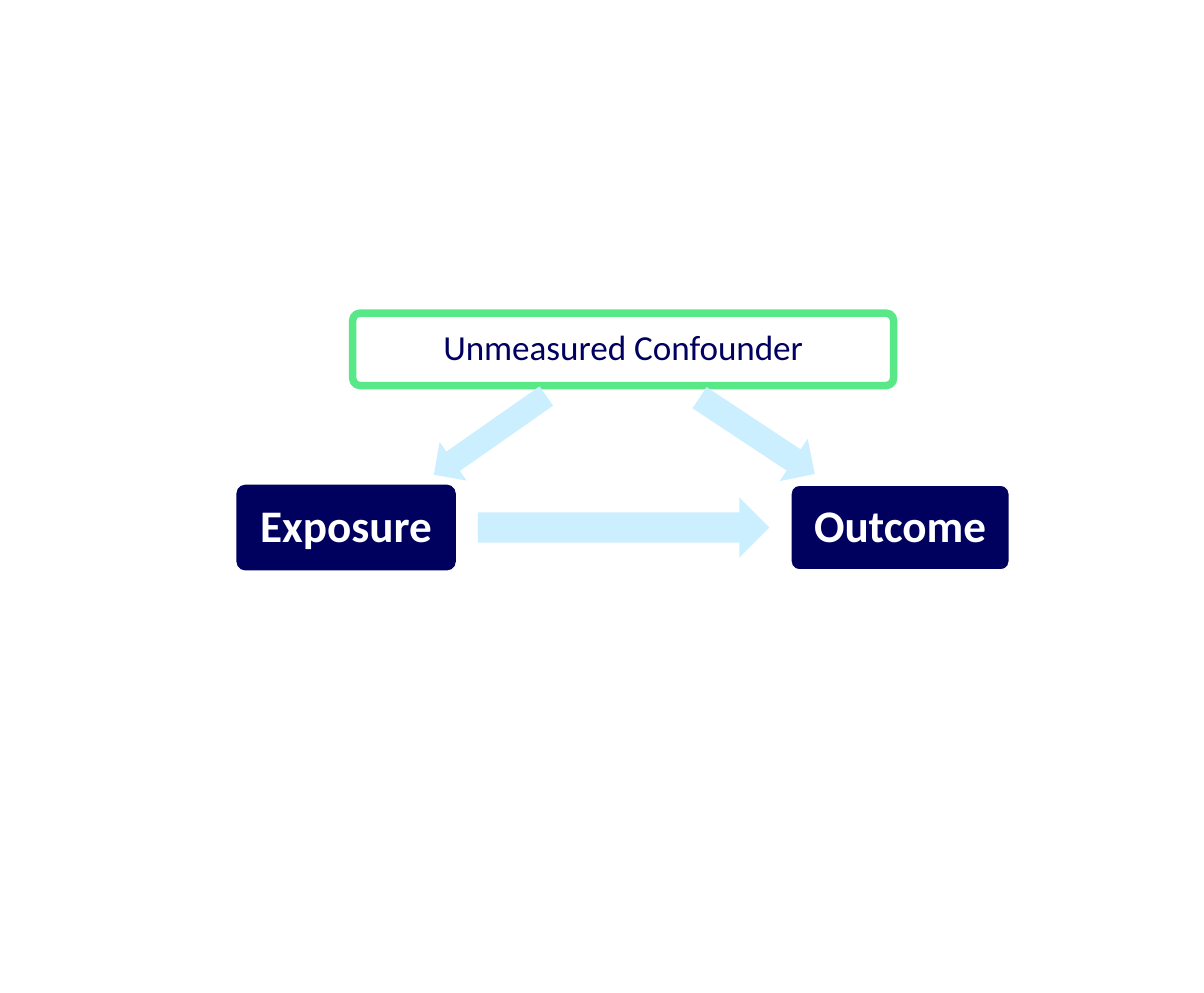
"""Build a slide showing an unmeasured confounder of exposure and outcome."""
from pptx import Presentation
from pptx.dml.color import RGBColor
from pptx.enum.shapes import MSO_SHAPE
from pptx.enum.text import MSO_ANCHOR, PP_ALIGN
from pptx.util import Pt

PX = 9525
NAVY, WHITE, GREEN, SKY = "00005F", "FFFFFF", "58E887", "CCEFFF"


def paint(target, color):
    target.solid()
    target.fore_color.rgb = RGBColor.from_string(color)


def write(box, text, size, color, bold=False, inset=14):
    frame = box.text_frame
    frame.word_wrap = True
    frame.vertical_anchor = MSO_ANCHOR.MIDDLE
    frame.margin_left = frame.margin_right = inset * PX
    frame.margin_top = frame.margin_bottom = inset * PX
    para = frame.paragraphs[0]
    para.alignment = PP_ALIGN.CENTER
    para.line_spacing = 0.9
    span = para.add_run()
    span.text = text
    span.font.name = "Calibri"
    span.font.size = Pt(size)
    span.font.bold = bold
    paint(span.font.fill, color)


deck = Presentation()
deck.slide_width, deck.slide_height = 1280 * PX, 1056 * PX
page = deck.slides.add_slide(deck.slide_layouts[6])
paint(page.background.fill, WHITE)
diagram = page.shapes.add_group_shape().shapes

boxes = [
    ("Unmeasured Confounder", (375, 333, 575, 77), WHITE, GREEN, 6,
     dict(size=28, color=NAVY, inset=12)),
    ("Exposure", (252, 516, 232, 90), NAVY, NAVY, 1,
     dict(size=36, color=WHITE, bold=True)),
    ("Outcome", (841, 516, 232, 90), NAVY, WHITE, 1,
     dict(size=36, color=WHITE, bold=True)),
]
for text, place, fill, line, weight, style in boxes:
    box = diagram.add_shape(MSO_SHAPE.ROUNDED_RECTANGLE, *(n * PX for n in place))
    box.adjustments[0] = 0.1
    box.shadow.inherit = False
    paint(box.fill, fill)
    paint(box.line.fill, line)
    box.line.width = Pt(weight)
    write(box, text, **style)

arrows = [
    (MSO_SHAPE.DOWN_ARROW, (496, 390, 50, 146), 55),
    (MSO_SHAPE.RIGHT_ARROW, (508, 529, 310, 64), 0),
    (MSO_SHAPE.DOWN_ARROW, (778, 390, 54, 147), 303.5),
]
for kind, place, angle in arrows:
    arrow = diagram.add_shape(kind, *(n * PX for n in place))
    arrow.rotation = angle
    arrow.shadow.inherit = False
    paint(arrow.fill, SKY)
    arrow.line.fill.background()

deck.save("out.pptx")
